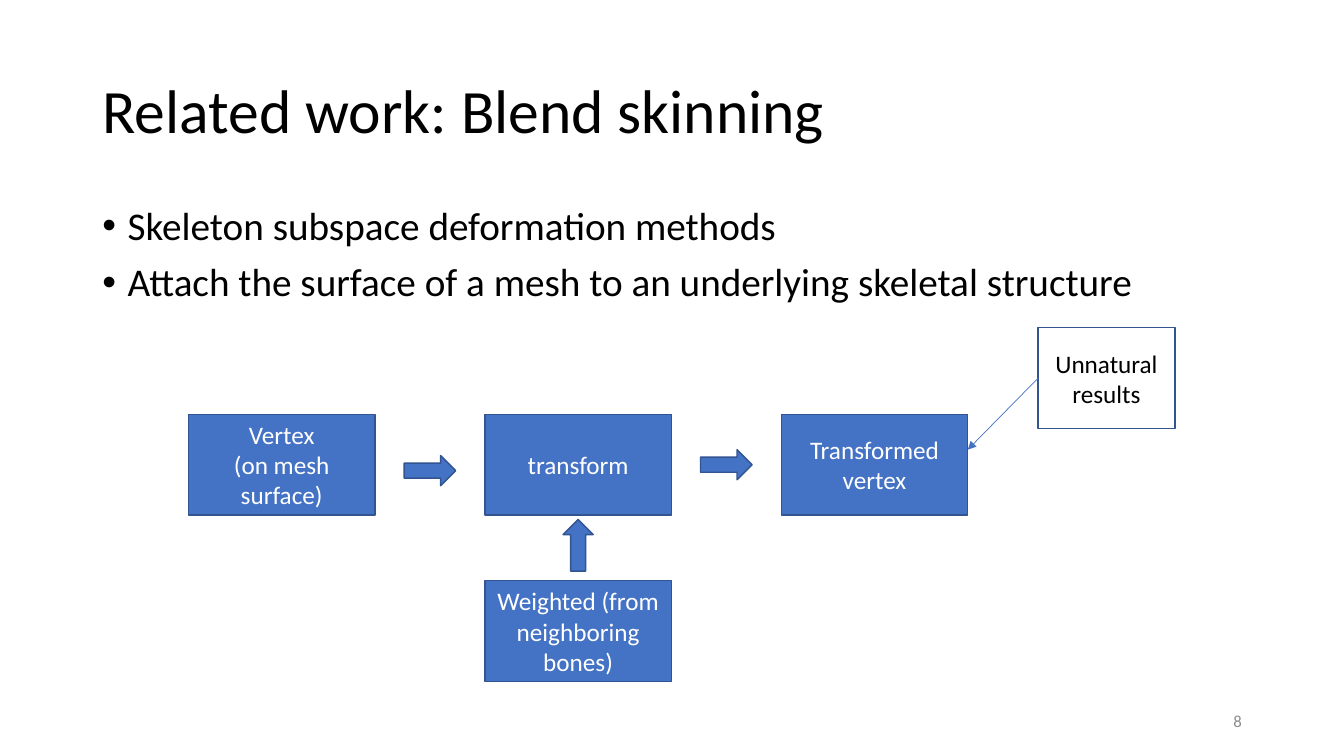
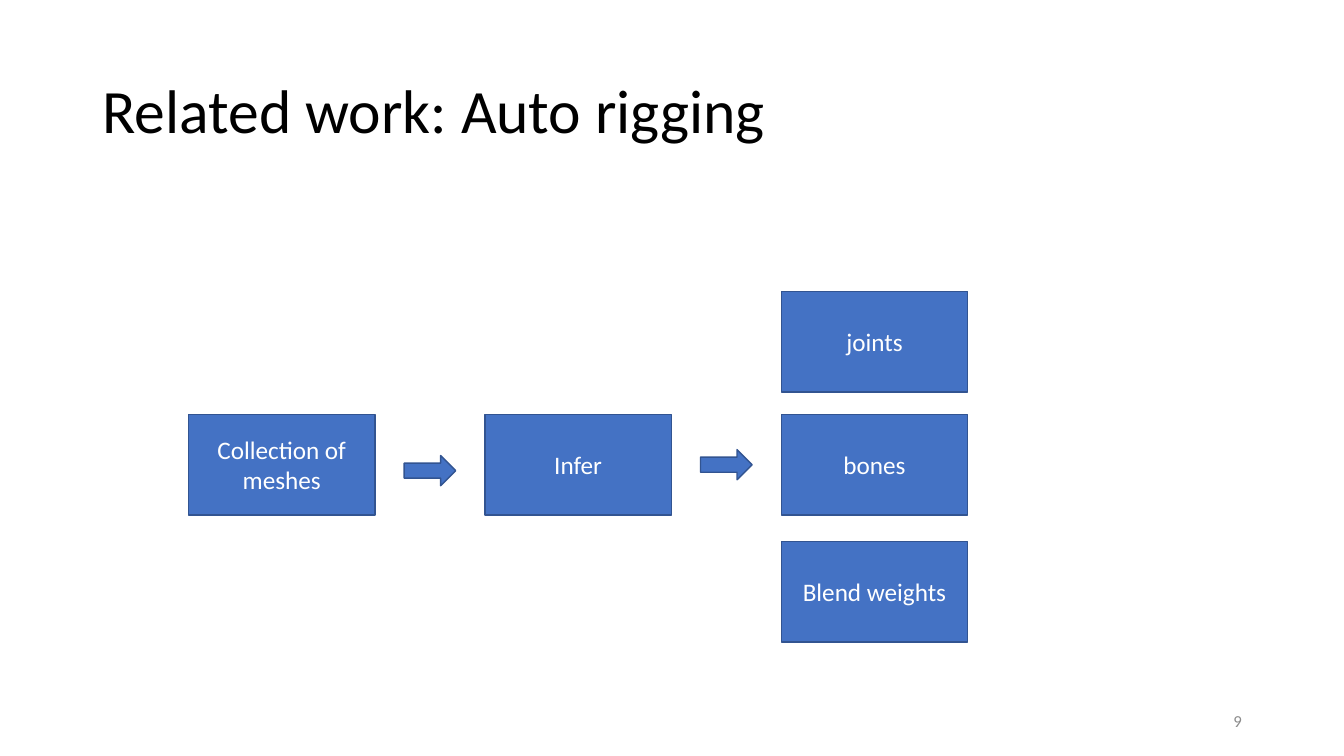
from lxml import etree
from pptx import Presentation
from pptx.dml.color import RGBColor
from pptx.enum.shapes import MSO_CONNECTOR, MSO_SHAPE
from pptx.enum.text import MSO_ANCHOR, PP_ALIGN
from pptx.oxml.ns import qn
from pptx.util import Cm, Pt

RECTANGLE, ARROW = MSO_SHAPE.RECTANGLE, MSO_SHAPE.RIGHT_ARROW
STRAIGHT = MSO_CONNECTOR.STRAIGHT
TOP, MIDDLE = MSO_ANCHOR.TOP, MSO_ANCHOR.MIDDLE
LEFT, CENTER, RIGHT = PP_ALIGN.LEFT, PP_ALIGN.CENTER, PP_ALIGN.RIGHT

BLACK = RGBColor(0x00, 0x00, 0x00)
WHITE = RGBColor(0xFF, 0xFF, 0xFF)
GREY = RGBColor(0x8C, 0x8C, 0x8C)
BLUE = RGBColor(0x44, 0x72, 0xC4)
DARK_BLUE = RGBColor(0x32, 0x54, 0x91)
FONT = "Calibri"

SLIDE_W, SLIDE_H = 33.87, 19.05
TITLE_BOX = (2.33, 1.01, 29.21, 3.68)
BODY_BOX = (2.33, 5.08, 29.21, 12.09)
NUMBER_BOX = (23.93, 17.65, 7.62, 1.02)

FLOW_LEFT, FLOW_TOP = 4.75, 10.44
STEP_W, STEP_H, STEP_PITCH = 4.7, 2.54, 7.47
ARROW_W, ARROW_H = 1.3, 0.76
ARROW_MIDDLES = (1.42, 1.27)


def write(shape, text, size=18, color=WHITE, align=CENTER, anchor=MIDDLE,
          spacing=1.0, before=0, bullet=False):
    frame = shape.text_frame
    frame.word_wrap = True
    frame.vertical_anchor = anchor
    frame.text = text
    for paragraph in frame.paragraphs:
        paragraph.alignment = align
        paragraph.line_spacing = spacing
        paragraph.space_before = Pt(before)
        paragraph.font.size = Pt(size)
        paragraph.font.name = FONT
        paragraph.font.color.rgb = color
        if bullet:
            add_bullet(paragraph)


def add_bullet(paragraph):
    properties = paragraph._p.get_or_add_pPr()
    properties.set("marL", str(Cm(0.64)))
    properties.set("indent", str(-Cm(0.64)))
    font = etree.Element(qn("a:buFont"), typeface="Arial")
    mark = etree.Element(qn("a:buChar"), char="•")
    defaults = properties.find(qn("a:defRPr"))
    if defaults is None:
        properties.extend([font, mark])
    else:
        defaults.addprevious(font)
        defaults.addprevious(mark)


def add_text(slide, box, text, **style):
    write(slide.shapes.add_textbox(*map(Cm, box)), text, **style)


def add_figure(slide, kind, box, fill=BLUE):
    figure = slide.shapes.add_shape(kind, *map(Cm, box))
    figure.shadow.inherit = False
    if fill is None:
        figure.fill.background()
    else:
        figure.fill.solid()
        figure.fill.fore_color.rgb = fill
    figure.line.color.rgb = DARK_BLUE
    figure.line.width = Pt(1)
    return figure


def add_step(slide, left, top, text):
    write(add_figure(slide, RECTANGLE, (left, top, STEP_W, STEP_H)), text)


def add_arrow(slide, center_x, center_y, rotation=0):
    box = (center_x - ARROW_W / 2, center_y - ARROW_H / 2, ARROW_W, ARROW_H)
    add_figure(slide, ARROW, box).rotation = rotation


def add_flow(slide, left, top, steps):
    for column, text in enumerate(steps):
        add_step(slide, left + column * STEP_PITCH, top, text)
    for column, middle in enumerate(ARROW_MIDDLES):
        center_x = left + column * STEP_PITCH + (STEP_W + STEP_PITCH) / 2
        add_arrow(slide, center_x, top + middle)


def add_weights(slide, left, top):
    transform_left = left + STEP_PITCH
    add_step(slide, transform_left, top + 4.19, "Weighted (from neighboring bones)")
    add_arrow(slide, transform_left + STEP_W / 2, top + 3.3, rotation=270)


def add_drawback(slide, left, top):
    note_left, note_top = left + 21.41, top - 2.18
    note = add_figure(slide, RECTANGLE, (note_left, note_top, 3.45, STEP_H), fill=None)
    write(note, "Unnatural results", color=BLACK)
    ends = (note_left, note_top + STEP_H / 2,
            left + 2 * STEP_PITCH + STEP_W, top + 0.89)
    pointer = slide.shapes.add_connector(STRAIGHT, *map(Cm, ends))
    pointer.line.color.rgb = BLUE
    pointer.line.width = Pt(0.5)
    etree.SubElement(pointer.line._get_or_add_ln(), qn("a:tailEnd"), type="triangle")
    etree.SubElement(pointer._element.spPr, qn("a:effectLst"))


def add_base(deck, title, number):
    slide = deck.slides.add_slide(deck.slide_layouts[6])
    add_text(slide, TITLE_BOX, title, size=44, color=BLACK, align=LEFT, spacing=0.9)
    add_text(slide, NUMBER_BOX, str(number), size=12, color=GREY, align=RIGHT)
    return slide


def build_blend_skinning(deck):
    slide = add_base(deck, "Related work: Blend skinning", 8)
    add_text(slide, BODY_BOX,
             "Skeleton subspace deformation methods\n"
             "Attach the surface of a mesh to an underlying skeletal structure",
             size=28, color=BLACK, align=LEFT, anchor=TOP,
             spacing=0.9, before=10, bullet=True)
    add_flow(slide, FLOW_LEFT, FLOW_TOP,
             ("Vertex\n(on mesh surface)", "transform", "Transformed vertex"))
    add_weights(slide, FLOW_LEFT, FLOW_TOP)
    add_drawback(slide, FLOW_LEFT, FLOW_TOP)


def build_auto_rigging(deck):
    slide = add_base(deck, "Related work: Auto rigging", 9)
    add_flow(slide, FLOW_LEFT, FLOW_TOP, ("Collection of meshes", "Infer", "bones"))
    outputs_left = FLOW_LEFT + 2 * STEP_PITCH
    for text, offset in (("joints", -3.1), ("Blend weights", 3.2)):
        add_step(slide, outputs_left, FLOW_TOP + offset, text)


def main():
    deck = Presentation()
    deck.slide_width, deck.slide_height = Cm(SLIDE_W), Cm(SLIDE_H)
    build_blend_skinning(deck)
    build_auto_rigging(deck)
    deck.save("out.pptx")


if __name__ == "__main__":
    main()
